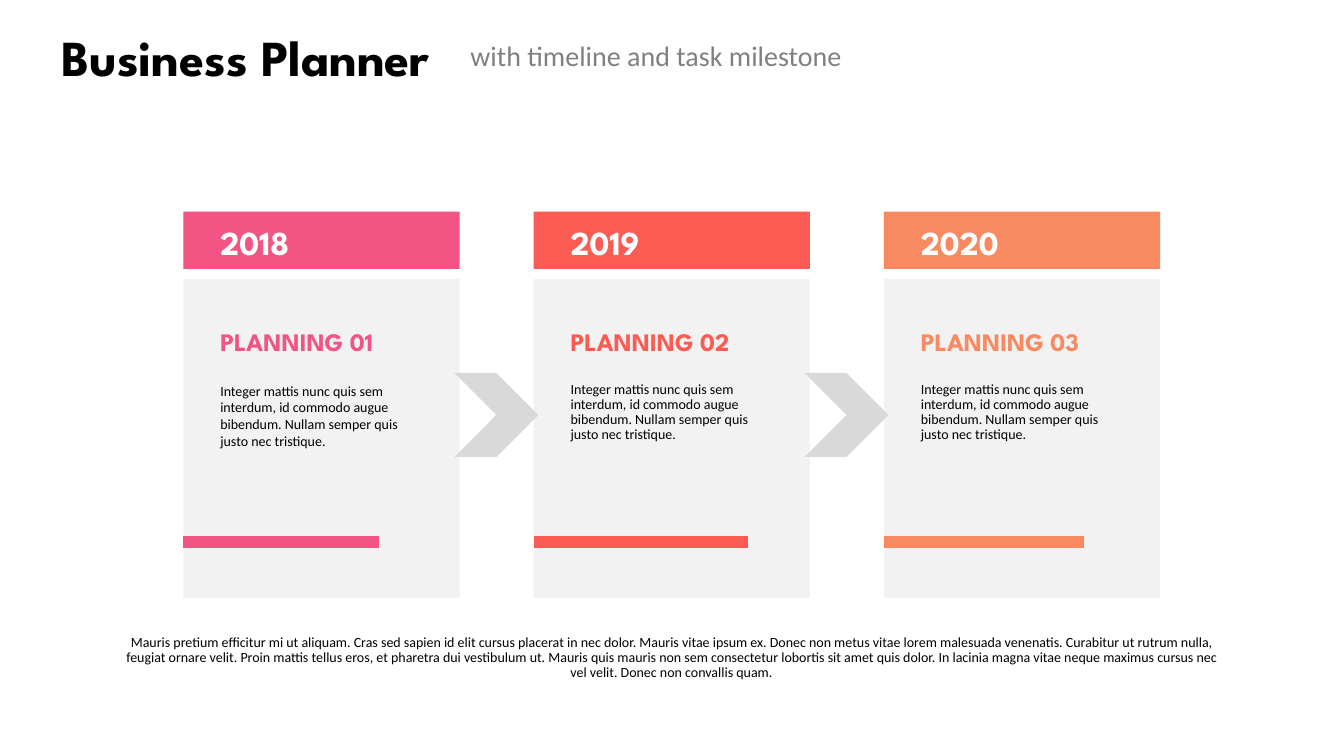
from dataclasses import dataclass

from pptx import Presentation
from pptx import util as u
from pptx.dml import color
from pptx.enum import shapes, text
from pptx.oxml import ns
from lxml import etree

HEADING_FONT, BODY_FONT = "League Spartan", "Calibri"
BLACK, WHITE, GREY = "000000", "FFFFFF", "808080"
PANEL, ARROW = "F2F2F2", "D9D9D9"
CARD_LEFT, CARD_PITCH, CARD_WIDTH = 131.0, 250.2, 197.3
TEXT_INDENT = 19.3
LINE_INDENT = 4.4
ARROW_OFFSET, ARROW_SIZE = 193.5, 60
CARD_TEXT = ("Integer mattis nunc quis sem interdum, id commodo augue bibendum. "
             "Nullam semper quis justo nec tristique.")
FOOTER = (
    "Mauris pretium efficitur mi ut aliquam. Cras sed sapien id elit cursus placerat in nec dolor. "
    "Mauris vitae ipsum ex. Donec non metus vitae lorem malesuada venenatis. Curabitur ut rutrum nulla, "
    "feugiat ornare velit. Proin mattis tellus eros, et pharetra dui vestibulum ut. Mauris quis mauris "
    "non sem consectetur lobortis sit amet quis dolor. In lacinia magna vitae neque maximus cursus nec "
    "vel velit. Donec non convallis quam.")


@dataclass(frozen=True)
class Box:
    left: float
    top: float
    width: float
    height: float

    def lengths(self) -> list[u.Length]:
        return [u.Pt(value) for value in (self.left, self.top, self.width, self.height)]


@dataclass(frozen=True)
class Style:
    size: float
    color: str = BLACK
    font: str = BODY_FONT
    bold: bool = False
    align: text.PP_ALIGN = text.PP_ALIGN.LEFT
    anchor: text.MSO_ANCHOR = text.MSO_ANCHOR.TOP
    spacing: float = 0.9


@dataclass(frozen=True)
class Card:
    year: str
    title: str
    color: str
    progress: float
    anchor: text.MSO_ANCHOR = text.MSO_ANCHOR.TOP
    spacing: float = 0.9


CARDS = [
    Card("2018", "PLANNING 01", "F25484", 131, text.MSO_ANCHOR.MIDDLE, 1.0),
    Card("2019", "PLANNING 02", "FA5B52", 144),
    Card("2020", "PLANNING 03", "F88960", 134),
]


def rgb(value: str) -> color.RGBColor:
    return color.RGBColor.from_string(value)


def add_text(slide, words: str, box: Box, style: Style) -> None:
    frame = slide.shapes.add_textbox(*box.lengths()).text_frame
    frame.word_wrap = True
    frame.vertical_anchor = style.anchor
    paragraph = frame.paragraphs[0]
    paragraph.text = words
    paragraph.alignment = style.align
    paragraph.line_spacing = style.spacing
    paragraph.font.name = style.font
    paragraph.font.size = u.Pt(style.size)
    paragraph.font.bold = style.bold
    paragraph.font.color.rgb = rgb(style.color)


def add_filled(slide, kind: shapes.MSO_SHAPE, box: Box, fill: str) -> None:
    shape = slide.shapes.add_shape(kind, *box.lengths())
    shape.shadow.inherit = False
    shape.fill.solid()
    shape.fill.fore_color.rgb = rgb(fill)
    shape.line.fill.background()


def add_progress_line(slide, left: float, top: float, length: float, stroke: str) -> None:
    line = slide.shapes.add_connector(
        shapes.MSO_CONNECTOR.STRAIGHT, u.Pt(left), u.Pt(top), u.Pt(left + length), u.Pt(top))
    line.line.color.rgb = rgb(stroke)
    line.line.width = u.Pt(8.75)
    # Square ends, no shadow
    properties = line._element.spPr
    properties.find(ns.qn("a:ln")).set("cap", "sq")
    etree.SubElement(properties, ns.qn("a:effectLst"))


def add_card(slide, card: Card, left: float) -> None:
    # Header bar and panel
    rectangle = shapes.MSO_SHAPE.RECTANGLE
    add_filled(slide, rectangle, Box(left, 151.2, CARD_WIDTH, 41), card.color)
    add_filled(slide, rectangle, Box(left, 199.4, CARD_WIDTH, 227.5), PANEL)

    # Year, title and description
    text_left = left + TEXT_INDENT
    add_text(slide, card.year, Box(text_left, 158.4, 158.4, 26.6),
             Style(24, WHITE, HEADING_FONT, bold=True))
    add_text(slide, card.title, Box(text_left, 231.8, 146.2, 24.5),
             Style(18, card.color, HEADING_FONT, bold=True,
                   anchor=card.anchor, spacing=card.spacing))
    add_text(slide, CARD_TEXT, Box(text_left, 269.3, 158.4, 55.4),
             Style(10, anchor=card.anchor, spacing=card.spacing))

    add_progress_line(slide, left + LINE_INDENT, 387.4, card.progress, card.color)


def main() -> None:
    presentation = Presentation()
    presentation.slide_width, presentation.slide_height = u.Pt(960), u.Pt(540)
    slide = presentation.slides.add_slide(presentation.slide_layouts[6])

    # Title and subtitle
    middle = text.MSO_ANCHOR.MIDDLE
    add_text(slide, "Business Planner", Box(23, 18.7, 305.3, 43.2),
             Style(36, font=HEADING_FONT, bold=True, align=text.PP_ALIGN.CENTER,
                   anchor=middle, spacing=1.0))
    add_text(slide, "with timeline and task milestone", Box(329, 23.8, 338.4, 31.7),
             Style(20, GREY, anchor=middle, spacing=1.0))

    # Cards
    lefts = [CARD_LEFT + index * CARD_PITCH for index in range(len(CARDS))]
    for card, left in zip(CARDS, lefts):
        add_card(slide, card, left)

    # Arrows between cards
    for left in lefts[:-1]:
        add_filled(slide, shapes.MSO_SHAPE.CHEVRON,
                   Box(left + ARROW_OFFSET, 266.4, ARROW_SIZE, ARROW_SIZE), ARROW)

    # Footer
    add_text(slide, FOOTER, Box(80, 450, 799.2, 44), Style(10, align=text.PP_ALIGN.CENTER))

    presentation.save("out.pptx")


if __name__ == "__main__":
    main()
